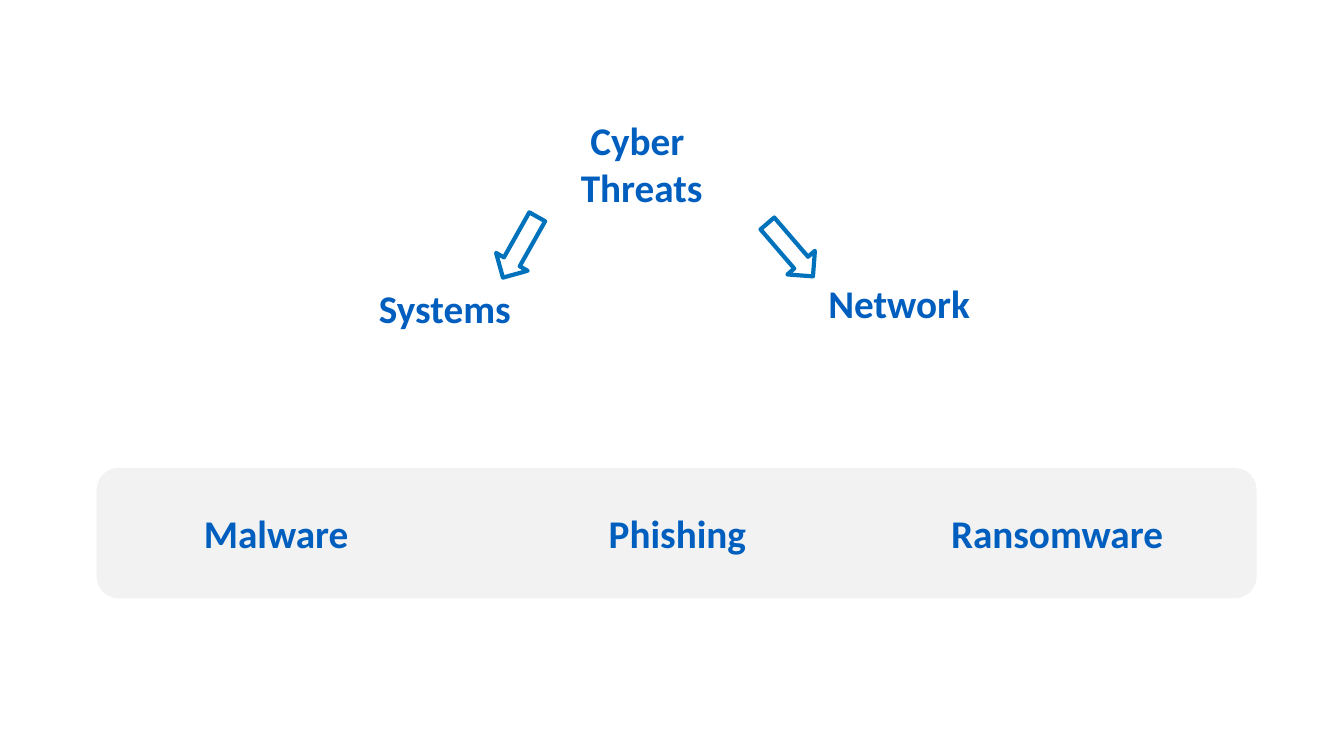
from dataclasses import dataclass

from pptx import Presentation
from pptx import util as u
from pptx.dml.color import RGBColor
from pptx.enum import shapes, text

SLIDE_WIDTH = u.Inches(10)
SLIDE_HEIGHT = SLIDE_WIDTH * 9 // 16
LABEL_BLUE, ARROW_BLUE, BAND_GREY = "005FBE", "0072BC", "F2F2F2"

# Lengths are percentages of the slide's width and height
LABEL_WIDTH, LABEL_HEIGHT, TITLE_HEIGHT = 18.5, 7.64, 13.87
ARROW_WIDTH, ARROW_HEIGHT = 2.7, 9.24
THREAT_ROW = 66.67


@dataclass
class Label:
    wording: str
    left: float
    top: float


@dataclass
class Arrow:
    left: float
    top: float
    rotation: float


TARGETS = [Label("Systems", 23.85, 36.9), Label("Network", 57.65, 36.2)]
THREATS = [
    Label(wording, left, THREAT_ROW)
    for wording, left in (("Malware", 11.3), ("Phishing", 41.15), ("Ransomware", 69.4))
]
ARROWS = [Arrow(37.35, 28.09, 29.4), Arrow(57.45, 28.44, 319.3)]


def color(hex_value: str) -> RGBColor:
    return RGBColor.from_string(hex_value)


def area(left: float, top: float, width: float, height: float) -> tuple[int, ...]:
    return (
        round(SLIDE_WIDTH * left / 100),
        round(SLIDE_HEIGHT * top / 100),
        round(SLIDE_WIDTH * width / 100),
        round(SLIDE_HEIGHT * height / 100),
    )


def write_lines(shape, lines: list[str]) -> None:
    frame = shape.text_frame
    frame.word_wrap = True
    frame.auto_size = text.MSO_AUTO_SIZE.SHAPE_TO_FIT_TEXT
    frame.vertical_anchor = text.MSO_ANCHOR.TOP
    frame.margin_left = frame.margin_right = u.Inches(0.07)
    frame.margin_top = frame.margin_bottom = u.Inches(0.04)
    for index, line in enumerate(lines):
        paragraph = frame.add_paragraph() if index else frame.paragraphs[0]
        paragraph.alignment = text.PP_ALIGN.CENTER
        run = paragraph.add_run()
        run.text = line
        run.font.name = "Calibri"
        run.font.size = u.Pt(21)
        run.font.bold = True
        run.font.color.rgb = color(LABEL_BLUE)


def draw_title(slide, lines: list[str]) -> None:
    title = slide.shapes.title
    title.left, title.top, title.width, title.height = area(
        38.5, 14.67, LABEL_WIDTH, TITLE_HEIGHT
    )
    write_lines(title, lines)


def draw_band(slide) -> None:
    band = slide.shapes.add_shape(
        shapes.MSO_SHAPE.ROUNDED_RECTANGLE, *area(7.2, 61.9, 86.3, 17.24)
    )
    band.shadow.inherit = False
    band.fill.solid()
    band.fill.fore_color.rgb = color(BAND_GREY)
    band.line.fill.background()


def draw_label(slide, label: Label) -> None:
    box = slide.shapes.add_textbox(
        *area(label.left, label.top, LABEL_WIDTH, LABEL_HEIGHT)
    )
    write_lines(box, [label.wording])


def draw_arrow(slide, arrow: Arrow) -> None:
    shape = slide.shapes.add_shape(
        shapes.MSO_SHAPE.DOWN_ARROW,
        *area(arrow.left, arrow.top, ARROW_WIDTH, ARROW_HEIGHT),
    )
    shape.rotation = arrow.rotation
    shape.shadow.inherit = False
    shape.fill.background()
    shape.line.color.rgb = color(ARROW_BLUE)
    shape.line.width = u.Pt(2.25)


def main() -> None:
    presentation = Presentation()
    presentation.slide_width, presentation.slide_height = SLIDE_WIDTH, SLIDE_HEIGHT
    slide = presentation.slides.add_slide(presentation.slide_layouts[5])

    # Heading and the band behind the threats
    draw_title(slide, ["Cyber ", "Threats"])
    draw_band(slide)

    # Targets, threats and the arrows from the heading
    for label in TARGETS + THREATS:
        draw_label(slide, label)
    for arrow in ARROWS:
        draw_arrow(slide, arrow)

    presentation.save("out.pptx")


if __name__ == "__main__":
    main()
